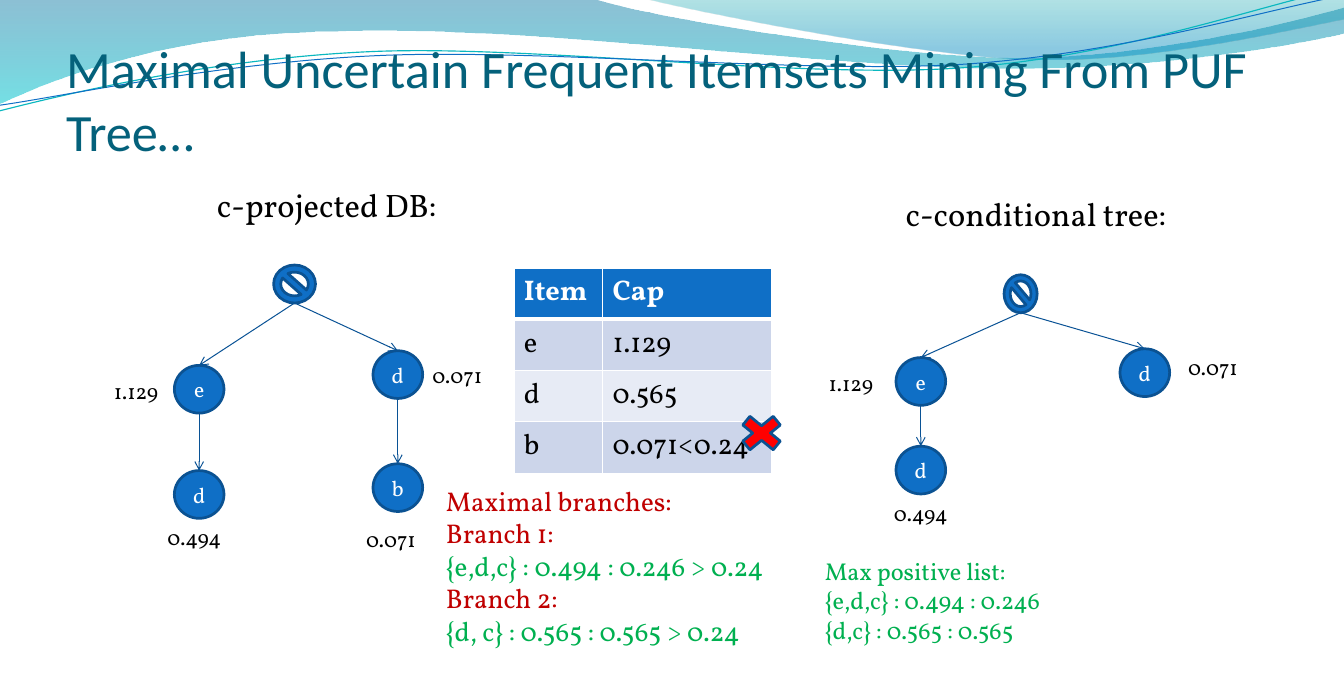
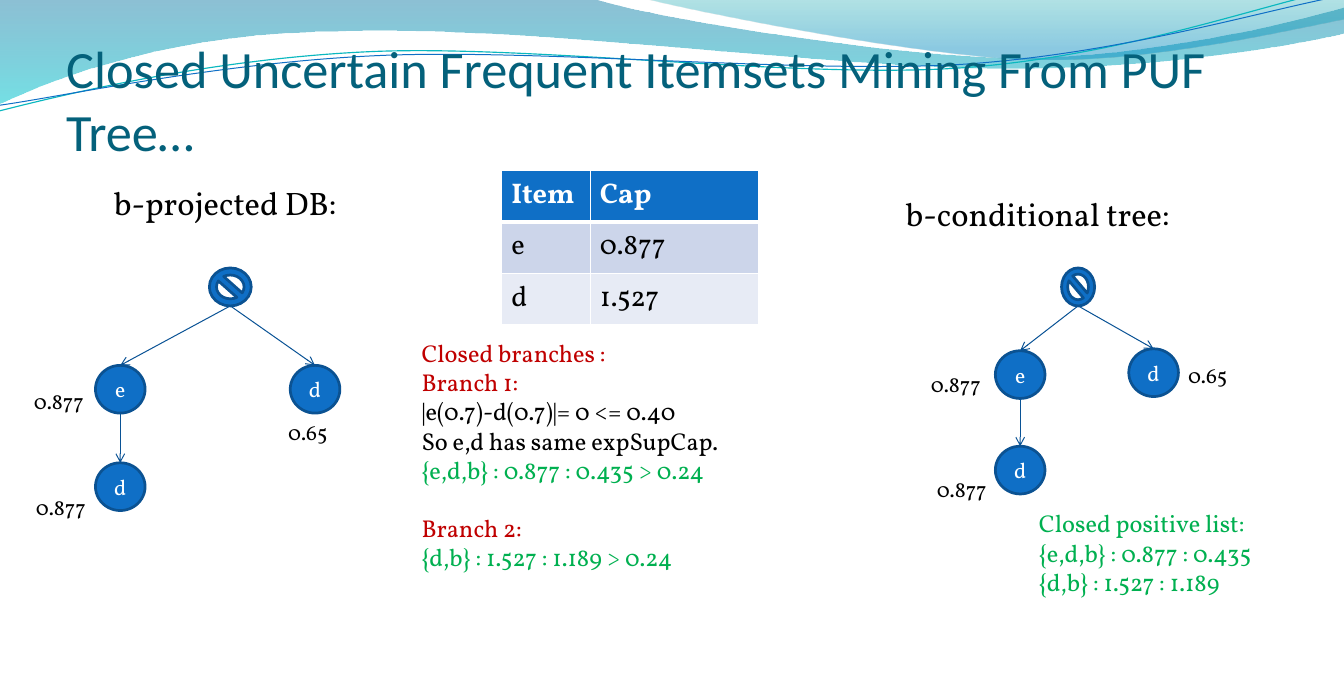
import dataclasses

import lxml.etree
import pptx
import pptx.dml.color
import pptx.enum.shapes
import pptx.enum.text
import pptx.oxml.ns
import pptx.util


@dataclasses.dataclass(frozen=True)
class Theme:
    title_font: str = "Calibri"
    body_font: str = "Vollkorn"
    title: str = "04617B"
    blue: str = "0F6FC6"
    outline: str = "0B5292"
    arrow: str = "095295"
    teal: str = "0AB8BF"
    white: str = "FFFFFF"
    black: str = "000000"
    red: str = "C00000"
    green: str = "00B050"
    cross: str = "FF0000"
    bands: tuple = ("E7EBF5", "CCD5EA")
    title_size: float = 38.7
    heading_size: float = 24
    table_size: float = 21
    branch_size: float = 20
    list_size: float = 18
    node_size: float = 16


T = Theme()
Inches = pptx.util.Inches
Pt = pptx.util.Pt
qn = pptx.oxml.ns.qn
rgb = pptx.dml.color.RGBColor.from_string
SHAPE = pptx.enum.shapes.MSO_SHAPE
ALIGN = pptx.enum.text.PP_ALIGN
ANCHOR = pptx.enum.text.MSO_ANCHOR

NODE_W, NODE_H, ROOT_H = 0.51, 0.49, 0.39
ROW_H, COLUMNS = 0.47, (0.91, 1.73)


def write(tf, text, size=T.node_size, color=T.black, font=T.body_font,
          bold=False, align=ALIGN.LEFT, margins=None, anchor=None):
    """Fill a frame; text is a string or (text, colour, space before) lines."""
    tf.word_wrap = True
    if anchor is not None:
        tf.vertical_anchor = anchor
    if margins:
        tf.margin_left, tf.margin_top, tf.margin_right, tf.margin_bottom = map(Inches, margins)
    lines = [(text, color, 0)] if isinstance(text, str) else text
    for i, (line, line_color, space) in enumerate(lines):
        p = tf.paragraphs[0] if i == 0 else tf.add_paragraph()
        p.alignment = align
        if space:
            p.space_before = Pt(space)
        r = p.add_run()
        r.text = line
        r.font.name, r.font.size, r.font.bold = font, Pt(size), bold
        r.font.color.rgb = rgb(line_color)


def add_solid(s, kind, box, fill=T.blue):
    sp = s.shapes.add_shape(kind, *map(Inches, box))
    sp.shadow.inherit = False
    sp.fill.solid()
    sp.fill.fore_color.rgb = rgb(fill)
    sp.line.color.rgb = rgb(T.outline)
    sp.line.width = Pt(2)
    return sp


# Trees: root is (left, top, width); nodes are (item, left, top, parent), 0 being the root.
# Labels are (left, top, text); notes are (box, size, lines).
slides = [
    dict(
        title="Maximal Uncertain Frequent Itemsets Mining From PUF Tree…",
        table=(5.28, 2.75, [("Item", "Cap"), ("e", "1.129"), ("d", "0.565"),
                            ("b", "0.071<0.24")]),
        headings=[(2.13, 1.85, "c-projected DB:"), (9.2, 1.94, "c-conditional tree:")],
        trees=[
            ((2.81, 2.72, 0.43), [("e", 1.79, 3.75, 0), ("d", 3.83, 3.6, 0),
                                  ("d", 1.79, 4.83, 1), ("b", 3.83, 4.76, 2)]),
            ((10.31, 2.82, 0.34), [("e", 9.2, 3.67, 0), ("d", 11.5, 3.58, 0),
                                   ("d", 9.2, 4.58, 1)]),
        ],
        labels=[(1.07, 3.83, "1.129"), (4.34, 3.67, "0.071"), (1.62, 5.33, "0.494"),
                (3.66, 5.35, "0.071"), (8.41, 3.75, "1.129"), (12.1, 3.58, "0.071"),
                (9.08, 5.08, "0.494")],
        notes=[
            ((4.48, 4.92, 5.28, 1.78), T.branch_size, [
                ("Maximal branches:", T.red, 0),
                ("Branch 1:", T.red, 0),
                ("{e,d,c} : 0.494 : 0.246 > 0.24", T.green, 0),
                ("Branch 2:", T.red, 0),
                ("{d, c} : 0.565 : 0.565 > 0.24", T.green, 0)]),
            ((8.37, 5.66, 3.41, 1.01), T.list_size, [
                ("Max positive list:", T.green, 0),
                ("{e,d,c} : 0.494 : 0.246", T.green, 0),
                ("{d,c} : 0.565 : 0.565", T.green, 0)]),
        ],
        crosses=[(7.52, 4.2, 0.6, 0.49)],
    ),
    dict(
        title="Closed Uncertain Frequent Itemsets Mining From PUF Tree…",
        table=(5.15, 1.75, [("Item", "Cap"), ("e", "0.877"), ("d", "1.527")]),
        headings=[(1.07, 1.83, "b-projected DB:"), (9.2, 1.94, "b-conditional tree:")],
        trees=[
            ((2.15, 2.75, 0.43), [("e", 0.98, 3.75, 0), ("d", 2.98, 3.75, 0),
                                  ("d", 0.98, 4.75, 1)]),
            ((10.9, 2.75, 0.34), [("e", 10.22, 3.6, 0), ("d", 11.59, 3.58, 0),
                                  ("d", 10.22, 4.58, 1)]),
        ],
        labels=[(0.25, 3.93, "0.877"), (2.86, 4.25, "0.65"), (0.27, 5.02, "0.877"),
                (9.46, 3.76, "0.877"), (12.1, 3.67, "0.65"), (9.52, 4.84, "0.877")],
        notes=[
            ((10.57, 5.17, 3, 1.01), T.list_size, [
                ("Closed positive list:", T.green, 0),
                ("{e,d,b} : 0.877 : 0.435", T.green, 0),
                ("{d,b} : 1.527 : 1.189", T.green, 0)]),
            ((4.23, 3.42, 6.9, 2.52), T.list_size, [
                ("Closed branches :", T.red, 0),
                ("Branch 1:", T.red, 0),
                ("|e(0.7)-d(0.7)|= 0 <= 0.40", T.black, 0),
                ("So e,d has same expSupCap.", T.black, 0),
                ("{e,d,b} : 0.877 : 0.435 > 0.24", T.green, 0),
                ("Branch 2:", T.red, 21.6),
                ("{d,b} : 1.527 : 1.189 > 0.24", T.green, 0)]),
        ],
        crosses=[],
    ),
]

prs = pptx.Presentation()
prs.slide_width, prs.slide_height = Inches(13.8), Inches(7)
layout = prs.slide_layouts[5]

for content in slides:
    s = prs.slides.add_slide(layout)
    title = s.shapes.title
    title.left, title.top, title.width, title.height = map(Inches, (0.68, 0.49, 12.42, 1.17))
    title.text_frame.auto_size = pptx.enum.text.MSO_AUTO_SIZE.NONE
    write(title.text_frame, content["title"], size=T.title_size, color=T.title,
          font=T.title_font, margins=(0, 0.04, 0, 0), anchor=ANCHOR.BOTTOM)

    left, top, rows = content["table"]
    table = s.shapes.add_table(len(rows), len(COLUMNS), Inches(left), Inches(top),
                               Inches(sum(COLUMNS)), Inches(ROW_H * len(rows))).table
    for column, width in zip(table.columns, COLUMNS):
        column.width = Inches(width)
    for i, row in enumerate(rows):
        table.rows[i].height = Inches(ROW_H)
        for j, text in enumerate(row):
            cell = table.cell(i, j)
            cell.fill.solid()
            cell.fill.fore_color.rgb = rgb(T.bands[i % 2] if i else T.blue)
            cell.margin_left = cell.margin_right = Inches(0.1)
            cell.margin_top = cell.margin_bottom = Inches(0.06)
            write(cell.text_frame, text, size=T.table_size, bold=i == 0,
                  color=T.black if i else T.white)
            tcPr = cell._tc.get_or_add_tcPr()
            for k, side in enumerate(("lnL", "lnR", "lnT", "lnB")):
                thick = (i, side) in ((0, "lnB"), (1, "lnT"))
                ln = lxml.etree.Element(qn(f"a:{side}"), w=str(Pt(3 if thick else 1)))
                solid = lxml.etree.SubElement(ln, qn("a:solidFill"))
                lxml.etree.SubElement(solid, qn("a:srgbClr"), val=T.white)
                tcPr.insert(k, ln)

    for (left, top, width), nodes in content["trees"]:
        add_solid(s, SHAPE.NO_SYMBOL, (left, top, width, ROOT_H))
        bottoms = [(left + width / 2, top + ROOT_H)]
        for item, left, top, parent in nodes:
            sp = add_solid(s, SHAPE.OVAL, (left, top, NODE_W, NODE_H))
            write(sp.text_frame, item, color=T.white, align=ALIGN.CENTER,
                  margins=(0, 0, 0, 0), anchor=ANCHOR.MIDDLE)
            middle = left + NODE_W / 2
            bottoms.append((middle, top + NODE_H))
            arrow = s.shapes.add_connector(pptx.enum.shapes.MSO_CONNECTOR.STRAIGHT,
                                           *map(Inches, (*bottoms[parent], middle, top)))
            arrow.line.color.rgb = rgb(T.arrow)
            arrow.line.width = Pt(0.75)
            spPr = arrow.element.spPr
            lxml.etree.SubElement(spPr.find(qn("a:ln")), qn("a:tailEnd"), type="arrow")
            lxml.etree.SubElement(spPr, qn("a:effectLst"))

    for left, top, text in content["headings"]:
        tb = s.shapes.add_textbox(*map(Inches, (left, top, 3.07, 0.5)))
        write(tb.text_frame, text, size=T.heading_size)
    for left, top, text in content["labels"]:
        tb = s.shapes.add_textbox(*map(Inches, (left, top, 0.85, 0.37)))
        write(tb.text_frame, text)
    for box, size, lines in content["notes"]:
        tb = s.shapes.add_textbox(*map(Inches, box))
        write(tb.text_frame, lines, size=size)
    for box in content["crosses"]:
        add_solid(s, SHAPE.MATH_MULTIPLY, box, fill=T.cross)

# Waves: two numbers are a straight step, six are a Bezier step.
# Bands have gradient stops (position, colour, opacity); strands have a line (colour, width).
waves = [
    ([(0, 0), (6.08, -0.01), (6.56, 0.16, 9.16, 0.59, 10.47, 0.59),
      (11.77, 0.59, 13.23, 0.24, 13.8, 0.08), (13.81, 0.34),
      (13.57, 0.41, 12, 0.71, 10.29, 0.7), (8.58, 0.7, 5.27, 0.26, 3.55, 0.32),
      (1.78, 0.33, 0.63, 0.77, -0.01, 1.06), (0, 0)],
     [(0, "0074A1", 45), (1, "00C6CF", 55)], None),
    ([(6.61, -0.01), (7.03, 0.1, 9.41, 0.58, 10.61, 0.61),
      (11.81, 0.64, 13.27, 0.3, 13.8, 0.2), (13.8, 0), (6.61, -0.01)],
     [(0, "00A1A9", 30), (0.8, "008BBF", 45)], None),
    ([(-0.01, 1.14), (0.66, 0.97, 2.18, 0.6, 3.82, 0.53),
      (5.46, 0.46, 8.17, 0.81, 9.83, 0.7), (11.49, 0.59, 12.95, 0.05, 13.78, -0.12)],
     None, (T.teal, 0.85)),
    ([(0, 1.08), (0.65, 0.99, 2.26, 0.64, 3.91, 0.57),
      (5.56, 0.5, 8.24, 0.76, 9.89, 0.66), (11.54, 0.55, 12.99, 0.1, 13.81, -0.05)],
     None, (T.blue, 0.75)),
]

for i, (steps, stops, line) in enumerate(waves):
    ends = [tuple(map(Inches, step[-2:])) for step in steps]
    builder = prs.slides[0].shapes.build_freeform(*ends[0])
    builder.add_line_segments(ends[1:], close=bool(stops))
    wave = builder.convert_to_shape()
    wave.shadow.inherit = False
    segments = list(wave.element.spPr.iter(qn("a:lnTo")))
    for segment, step in zip(segments, steps[1:]):
        if len(step) == 6:
            curve = lxml.etree.Element(qn("a:cubicBezTo"))
            for x, y in zip(step[::2], step[1::2]):
                lxml.etree.SubElement(curve, qn("a:pt"), x=str(Inches(x) - wave.left),
                                      y=str(Inches(y) - wave.top))
            segment.getparent().replace(segment, curve)
    if stops:
        wave.line.fill.background()
        wave.fill.gradient()
        wave.fill.gradient_angle = 270
        for stop, (position, color, _) in zip(wave.fill.gradient_stops, stops):
            stop.position = position
            stop.color.rgb = rgb(color)
        for clr, (_, _, opacity) in zip(wave.element.spPr.iter(qn("a:srgbClr")), stops):
            lxml.etree.SubElement(clr, qn("a:alpha"), val=str(opacity * 1000))
    else:
        wave.fill.background()
        wave.line.color.rgb = rgb(line[0])
        wave.line.width = Pt(line[1])
    layout.shapes.element.insert(2 + i, wave.element)

prs.save("out.pptx")
